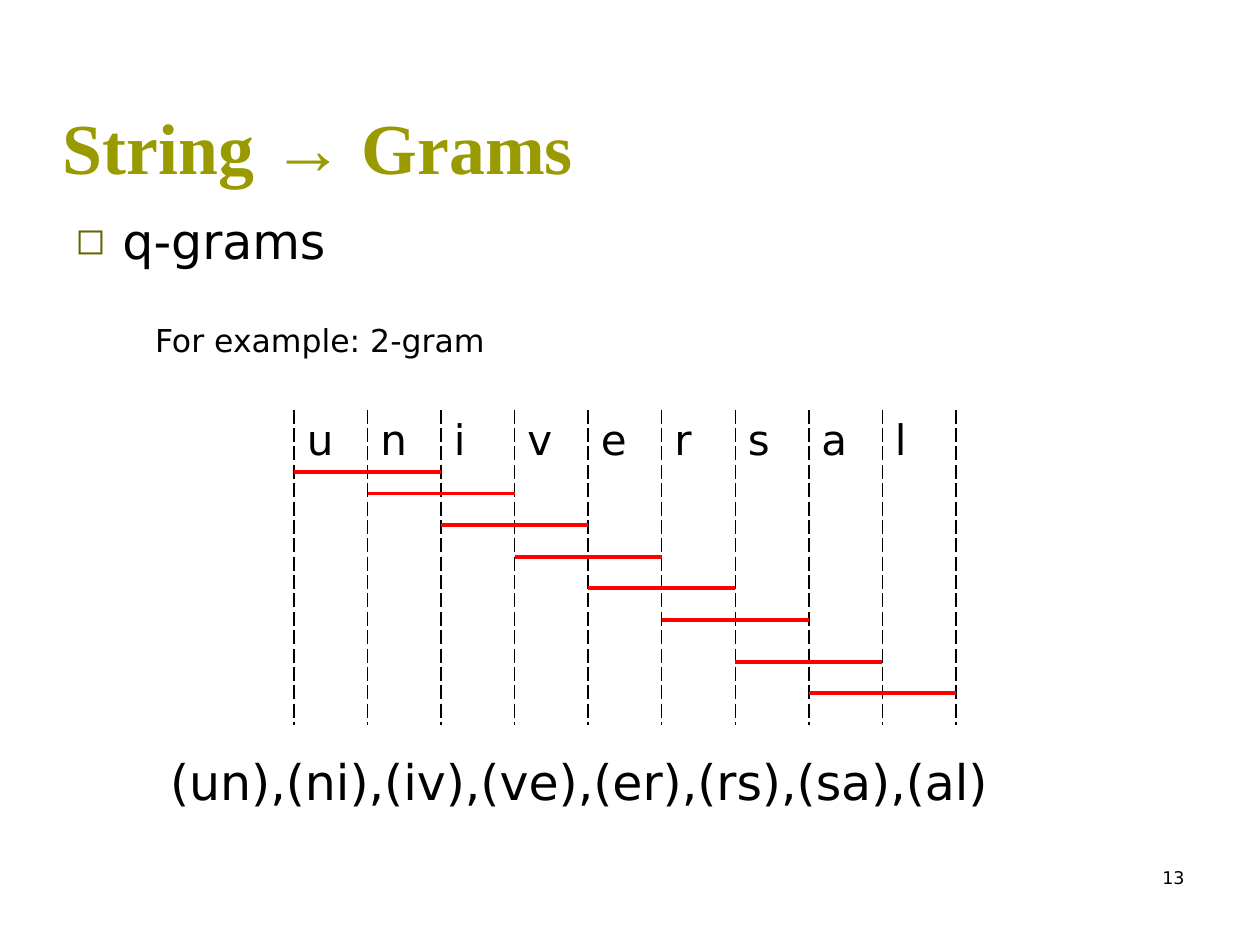
from dataclasses import dataclass

import lxml.etree
import pptx
import pptx.dml.color
import pptx.enum.shapes
import pptx.enum.text
import pptx.oxml.ns
import pptx.util

Cm, Pt = pptx.util.Cm, pptx.util.Pt
RGB = pptx.dml.color.RGBColor
ALIGN = pptx.enum.text.PP_ALIGN
ANCHOR = pptx.enum.text.MSO_ANCHOR
qn = pptx.oxml.ns.qn


@dataclass(frozen=True)
class Theme:
    title_font: str = "Times New Roman"
    body_font: str = "DejaVu Sans"
    title_color: str = "999900"
    text_color: str = "000000"
    bullet_color: str = "666600"
    gram_color: str = "FF0000"
    title_size: int = 41
    body_size: int = 28
    letter_size: int = 24
    example_size: int = 18
    number_size: int = 10


THEME = Theme()


@dataclass(frozen=True)
class Label:
    text: str
    left: float
    top: float
    width: float
    height: float
    size: int
    font: str = THEME.body_font
    color: str = THEME.text_color
    bold: bool = False
    align: ALIGN = ALIGN.LEFT
    anchor: ANCHOR = ANCHOR.TOP
    bullet: str = ""


@dataclass(frozen=True)
class Grid:
    left: float = 5.93
    top: float = 8.26
    width: float = 13.34
    height: float = 6.35
    rows: int = 5


WORD = "universal"
Q = 2
GRAMS = [WORD[i:i + Q] for i in range(len(WORD) - Q + 1)]
GRAM_TOPS = [9.52, 9.95, 10.58, 11.22, 11.85, 12.49, 13.34, 13.97]
GRID = Grid()
STEP = GRID.width / len(WORD)

LABELS = [
    Label("13", 18.2, 17.35, 5.93, 1.27, THEME.number_size, align=ALIGN.RIGHT),
    Label("String → Grams", 1.02, 0.33, 22.07, 3.61, THEME.title_size,
          THEME.title_font, THEME.title_color, True, anchor=ANCHOR.BOTTOM),
    Label("q-grams", 1.27, 4.12, 22.86, 1.75, THEME.body_size, bullet="◻"),
    Label(",".join(f"({gram})" for gram in GRAMS),
          3.18, 15.03, 19.25, 1.45, THEME.body_size),
    Label("For example: 2-gram", 2.54, 6.35, 7.82, 1.02, THEME.example_size,
          align=ALIGN.CENTER),
]


def style_font(font, name: str, size: int, color: str, bold: bool = False) -> None:
    font.name, font.size, font.bold = name, Pt(size), bold
    font.color.rgb = RGB.from_string(color)


def add_bullet(p, char: str) -> None:
    pPr = p._p.get_or_add_pPr()
    pPr.set("marL", str(Cm(0.95)))
    pPr.set("indent", str(-Cm(0.95)))
    color = lxml.etree.SubElement(pPr, qn("a:buClr"))
    lxml.etree.SubElement(color, qn("a:srgbClr"), val=THEME.bullet_color)
    lxml.etree.SubElement(pPr, qn("a:buSzPct"), val="75000")
    lxml.etree.SubElement(pPr, qn("a:buFont"), typeface=THEME.body_font)
    lxml.etree.SubElement(pPr, qn("a:buChar"), char=char)


def add_label(s, label: Label) -> None:
    box = s.shapes.add_textbox(Cm(label.left), Cm(label.top),
                               Cm(label.width), Cm(label.height))
    tf = box.text_frame
    tf.word_wrap = True
    tf.vertical_anchor = label.anchor
    tf.text = label.text
    p = tf.paragraphs[0]
    p.alignment = label.align
    if label.bullet:
        add_bullet(p, label.bullet)
    style_font(p.runs[0].font, label.font, label.size, label.color, label.bold)


def set_borders(cell) -> None:
    """Dashed rules at the sides, none above and below."""
    tcPr = cell._tc.get_or_add_tcPr()
    for side in "LR":
        ln = lxml.etree.SubElement(tcPr, qn(f"a:ln{side}"), w=str(Pt(1)))
        fill = lxml.etree.SubElement(ln, qn("a:solidFill"))
        lxml.etree.SubElement(fill, qn("a:srgbClr"), val=THEME.text_color)
        lxml.etree.SubElement(ln, qn("a:prstDash"), val="sysDash")
    for side in "TB":
        ln = lxml.etree.SubElement(tcPr, qn(f"a:ln{side}"), w="0")
        lxml.etree.SubElement(ln, qn("a:noFill"))


def add_letter_table(s) -> None:
    frame = s.shapes.add_table(GRID.rows, len(WORD), Cm(GRID.left), Cm(GRID.top),
                               Cm(GRID.width), Cm(GRID.height))
    table = frame.table
    table.first_row = table.horz_banding = False
    for column in table.columns:
        column.width = Cm(STEP)
    for cell in table.iter_cells():
        set_borders(cell)
        cell.fill.background()
    for cell, letter in zip(table.rows[0].cells, WORD):
        cell.text_frame.text = letter
        r = cell.text_frame.paragraphs[0].runs[0]
        style_font(r.font, THEME.body_font, THEME.letter_size, THEME.text_color)


def add_gram_line(s, index: int, top: float) -> None:
    left = GRID.left + index * STEP
    line = s.shapes.add_connector(pptx.enum.shapes.MSO_CONNECTOR.STRAIGHT,
                                  Cm(left), Cm(top), Cm(left + Q * STEP), Cm(top))
    line.line.color.rgb = RGB.from_string(THEME.gram_color)
    line.line.width = Pt(2.25)
    lxml.etree.SubElement(line._element.spPr, qn("a:effectLst"))


def main() -> None:
    prs = pptx.Presentation()
    prs.slide_width, prs.slide_height = Cm(25.4), Cm(19.05)
    s = prs.slides.add_slide(prs.slide_layouts[6])

    # Title, texts and page number
    for label in LABELS:
        add_label(s, label)

    # Letters of the word, with one line under each gram
    add_letter_table(s)
    for index, top in enumerate(GRAM_TOPS):
        add_gram_line(s, index, top)

    prs.save("out.pptx")


if __name__ == "__main__":
    main()
